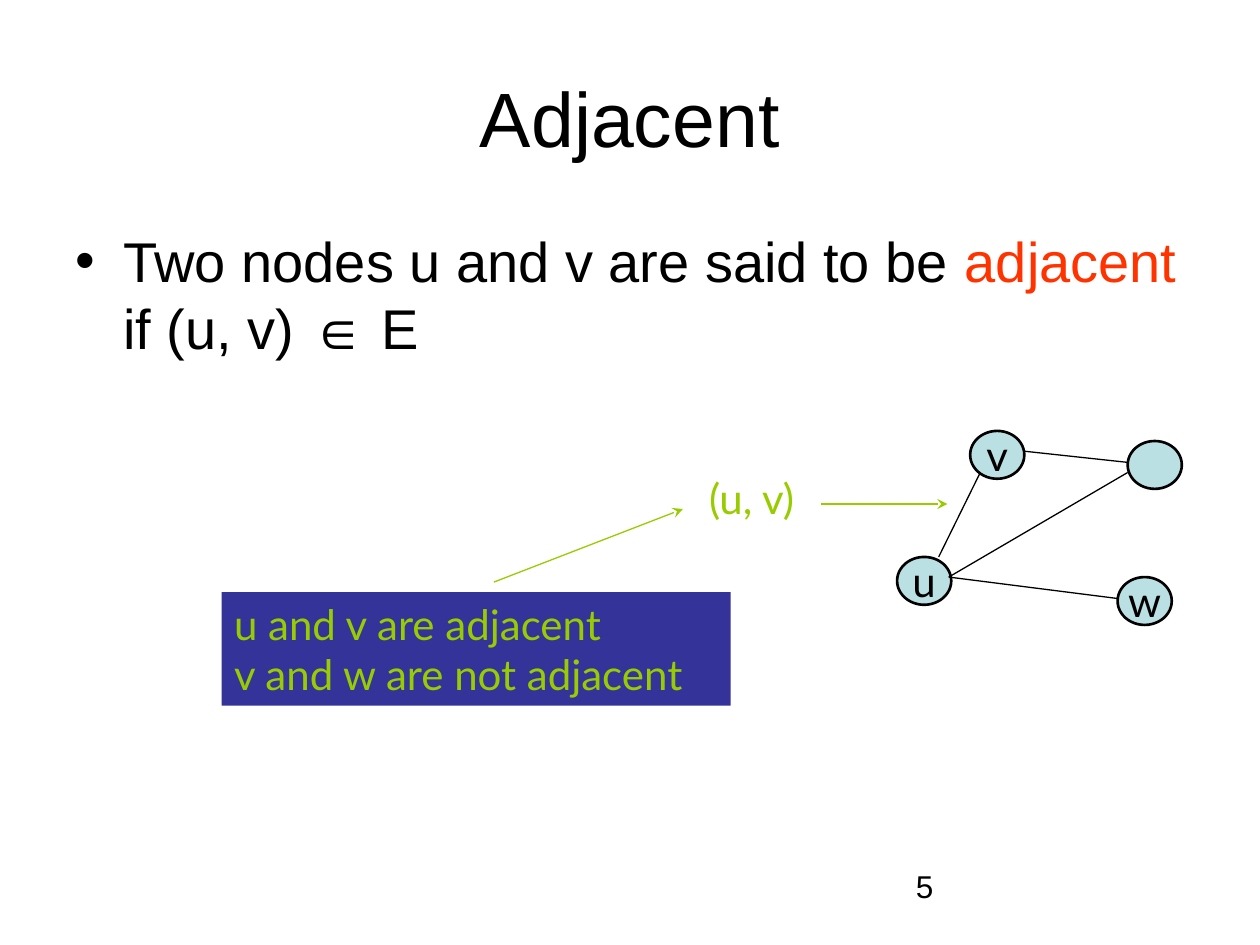
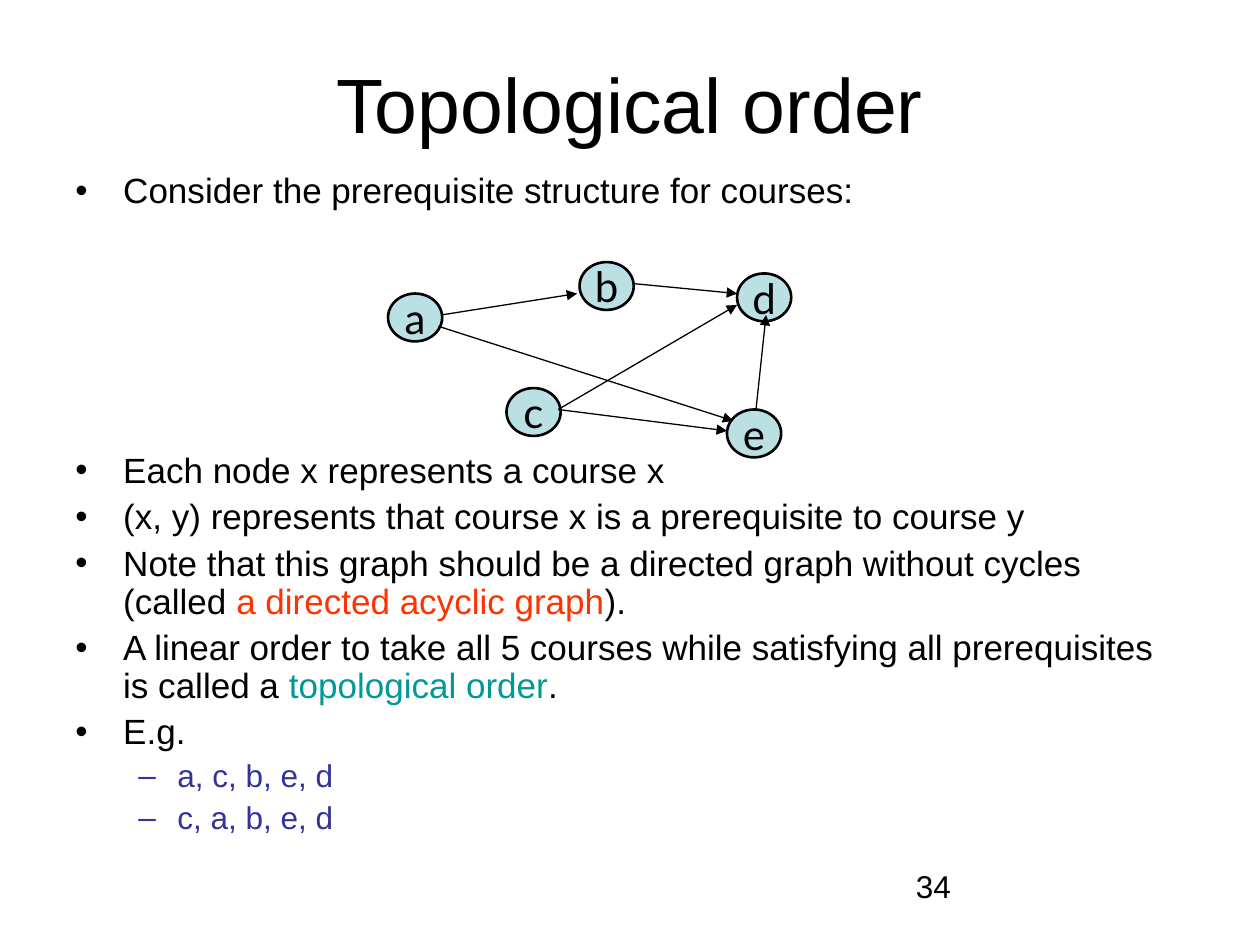
from pptx import Presentation
from pptx.dml.color import RGBColor
from pptx.enum.shapes import MSO_CONNECTOR, MSO_SHAPE
from pptx.enum.text import MSO_ANCHOR, PP_ALIGN
from pptx.oxml.ns import qn
from pptx.util import Inches, Pt
from lxml import etree

STRAIGHT = MSO_CONNECTOR.STRAIGHT
OVAL, RECT = MSO_SHAPE.OVAL, MSO_SHAPE.RECTANGLE
TOP, MIDDLE = MSO_ANCHOR.TOP, MSO_ANCHOR.MIDDLE
LEFT, CENTER = PP_ALIGN.LEFT, PP_ALIGN.CENTER

COLORS = {
    "black": "000000",
    "node": "BBE0E3",
    "navy": "333399",
    "lime": "99CC00",
    "red": "FF3300",
    "teal": "009999",
}
BODY_FONT, GRAPH_FONT = "Arial", "Lato"
NODE_W, NODE_H = 0.43, 0.38

LEVELS = [
    {"bullet": "•", "margin": 0.38, "indent": -0.38, "color": "black"},
    {"bullet": "–", "margin": 0.81, "indent": -0.31, "color": "navy"},
]

ADJACENT = {
    "title": "Adjacent",
    "title_box": (0.5, 0.3, 9, 1.25),
    "number": "5",
    "body_box": (0.5, 1.75, 9, 4.95),
    "sizes": (32, 28),
    "spacing": 1.0,
    "body": [
        (0, 0, ["Two nodes u and v are said to be ", ("adjacent", "red"), " if (u, v) ∈ E"]),
    ],
    "nodes": [("v", 7.7, 3.42), ("", 8.95, 3.5), ("w", 8.87, 4.58), ("u", 7.12, 4.42)],
    "edges": [
        (8.95, 3.67, 8.12, 3.58),
        (8.87, 4.75, 7.53, 4.58),
        (8.95, 3.75, 7.53, 4.58),
        (7.78, 3.75, 7.45, 4.42),
    ],
    "edge_tip": None,
}
EDGE_LABEL = "(u, v)"
ADJACENCY_NOTE = ["u and v are adjacent", "v and w are not adjacent"]
POINTERS = [(6.52, 4, 7.52, 4), (3.92, 4.62, 5.42, 4.04)]

GRAPH_GAP = 138
TOPOLOGICAL = {
    "title": "Topological order",
    "title_box": (0.5, 0.25, 9, 1.13),
    "number": "34",
    "body_box": (0.5, 1.33, 9, 5.5),
    "sizes": (20, 18),
    "spacing": 0.9,
    "body": [
        (0, 0, ["Consider the prerequisite structure for courses:"]),
        (0, GRAPH_GAP, ["Each node x represents a course x"]),
        (0, 5, ["(x, y) represents that course x is a prerequisite to course y"]),
        (0, 5, ["Note that this graph should be a directed graph without cycles (called ",
                ("a directed acyclic graph", "red"), ")."]),
        (0, 5, ["A linear order to take all 5 courses while satisfying all prerequisites is called a ",
                ("topological order", "teal"), "."]),
        (0, 5, ["E.g."]),
        (1, 4.5, ["a, c, b, e, d"]),
        (1, 4.5, ["c, a, b, e, d"]),
    ],
    "nodes": [("b", 4.6, 2.08), ("d", 5.85, 2.17), ("e", 5.77, 3.25),
              ("c", 4.02, 3.08), ("a", 3.08, 2.33)],
    "edges": [
        (5.02, 2.25, 5.85, 2.33),
        (4.43, 3.25, 5.77, 3.42),
        (4.43, 3.25, 5.85, 2.42),
        (3.5, 2.5, 4.58, 2.33),
        (6, 3.25, 6.08, 2.5),
        (3.48, 2.59, 5.82, 3.34),
    ],
    "edge_tip": "triangle",
}


def rgb(name):
    return RGBColor.from_string(COLORS[name])


def set_font(item, size, color, name=BODY_FONT):
    item.font.name = name
    item.font.size = Pt(size)
    item.font.color.rgb = rgb(color)


def write(sp, lines, size, color="black", font=BODY_FONT, align=LEFT, anchor=TOP, wrap=True):
    tf = sp.text_frame
    tf.word_wrap = wrap
    tf.vertical_anchor = anchor
    for i, line in enumerate(lines):
        p = tf.add_paragraph() if i else tf.paragraphs[0]
        p.text = line
        p.alignment = align
        set_font(p, size, color, font)


def add_text(s, box, lines, size, **style):
    sp = s.shapes.add_textbox(*map(Inches, box))
    write(sp, lines, size, **style)


def add_filled(s, kind, box, fill):
    sp = s.shapes.add_shape(kind, *map(Inches, box))
    sp.shadow.inherit = False
    sp.fill.solid()
    sp.fill.fore_color.rgb = rgb(fill)
    return sp


def add_node(s, label, x, y):
    sp = add_filled(s, OVAL, (x, y, NODE_W, NODE_H), "node")
    sp.line.color.rgb = rgb("black")
    sp.line.width = Pt(1.5)
    if label:
        write(sp, [label], 24, font=GRAPH_FONT, align=CENTER, anchor=MIDDLE, wrap=False)


def add_line(s, ends, color, tip=None):
    c = s.shapes.add_connector(STRAIGHT, *map(Inches, ends))
    c.line.color.rgb = rgb(color)
    c.line.width = Pt(0.75)
    if tip:
        etree.SubElement(c.line._get_or_add_ln(), qn("a:tailEnd"), type=tip)
    etree.SubElement(c._element.spPr, qn("a:effectLst"))


def add_bullet(p, level):
    pPr = p._p.get_or_add_pPr()
    pPr.set("marL", str(Inches(level["margin"])))
    pPr.set("indent", str(Inches(level["indent"])))
    bu_color = etree.SubElement(pPr, qn("a:buClr"))
    etree.SubElement(bu_color, qn("a:srgbClr"), val=COLORS[level["color"]])
    etree.SubElement(pPr, qn("a:buFont"), typeface=BODY_FONT)
    etree.SubElement(pPr, qn("a:buChar"), char=level["bullet"])


def add_body(s, content):
    tf = s.shapes.add_textbox(*map(Inches, content["body_box"])).text_frame
    tf.word_wrap = True
    for i, (depth, before, parts) in enumerate(content["body"]):
        p = tf.add_paragraph() if i else tf.paragraphs[0]
        level = LEVELS[depth]
        p.level = depth
        add_bullet(p, level)
        p.line_spacing = content["spacing"]
        p.space_before = Pt(before)
        set_font(p, content["sizes"][depth], level["color"])
        for part in parts:
            text, color = part if isinstance(part, tuple) else (part, level["color"])
            r = p.add_run()
            r.text = text
            set_font(r, content["sizes"][depth], color)


def add_graph_slide(prs, content):
    s = prs.slides.add_slide(prs.slide_layouts[6])
    add_text(s, (7.17, 6.83, 2.33, 0.52), [content["number"]], 18)
    add_text(s, content["title_box"], [content["title"]], 44, align=CENTER, anchor=MIDDLE)
    add_body(s, content)
    for node in content["nodes"]:
        add_node(s, *node)
    for edge in content["edges"]:
        add_line(s, edge, "black", content["edge_tip"])
    return s


def add_adjacency_notes(s):
    style = {"color": "lime", "font": GRAPH_FONT, "wrap": False}
    add_text(s, (5.53, 3.7, 0.95, 0.5), [EDGE_LABEL], 24, **style)
    note = add_filled(s, RECT, (1.76, 4.7, 4.04, 0.9), "navy")
    note.line.fill.background()
    write(note, ADJACENCY_NOTE, 24, **style)
    for pointer in POINTERS:
        add_line(s, pointer, "lime", "stealth")


def main():
    prs = Presentation()
    prs.slide_width, prs.slide_height = Inches(10), Inches(7.5)
    add_adjacency_notes(add_graph_slide(prs, ADJACENT))
    add_graph_slide(prs, TOPOLOGICAL)
    prs.save("out.pptx")


if __name__ == "__main__":
    main()
